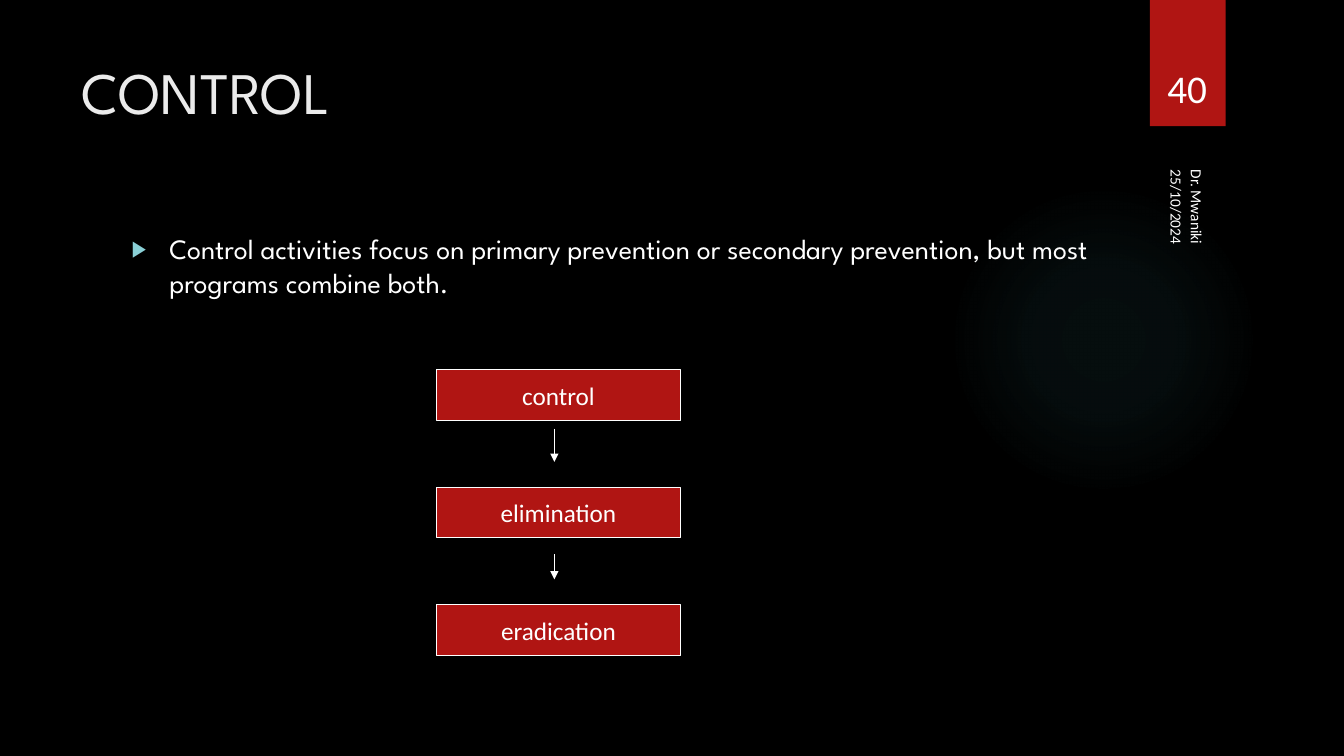
"""Build the slide on disease control, elimination and eradication."""
from dataclasses import dataclass

from lxml import etree
from pptx import Presentation
from pptx.dml.color import RGBColor
from pptx.enum import shapes, text
from pptx.oxml import ns
from pptx.util import Cm, Pt


@dataclass(frozen=True)
class Theme:
    background: str = "000000"
    red: str = "B01513"
    glow: str = "50B9C1"
    bullet: str = "8AD0D6"
    heading: str = "EBEBEB"
    white: str = "FFFFFF"
    display_font: str = "League Spartan"
    plain_font: str = "Calibri"
    title_size: int = 42
    number_size: int = 28
    body_size: int = 20
    stage_size: int = 18
    footer_size: int = 11
    line_width: float = 0.75


THEME = Theme()
TOP, MIDDLE, BOTTOM = (text.MSO_ANCHOR.TOP, text.MSO_ANCHOR.MIDDLE,
                       text.MSO_ANCHOR.BOTTOM)
LEFT, CENTER = text.PP_ALIGN.LEFT, text.PP_ALIGN.CENTER


def add_element(parent, tag, **attributes):
    child = etree.SubElement(parent, ns.qn(tag))
    for name, value in attributes.items():
        child.set(name, str(value))
    return child


def write(shape, words, size, font=THEME.plain_font, color=THEME.white,
          align=LEFT, anchor=TOP, wrap=True):
    frame = shape.text_frame
    frame.word_wrap = wrap
    frame.vertical_anchor = anchor
    frame.text = words
    paragraph = frame.paragraphs[0]
    paragraph.alignment = align
    letters = paragraph.runs[0].font
    letters.name = font
    letters.size = Pt(size)
    letters.color.rgb = RGBColor.from_string(color)
    return paragraph


def add_label(slide, place, words, size, rotation=0, **style):
    label = slide.shapes.add_textbox(*map(Cm, place))
    label.rotation = rotation
    return write(label, words, size, **style)


def add_bullet(paragraph):
    properties = paragraph._p.get_or_add_pPr()
    properties.set("marL", str(Cm(0.95)))
    properties.set("indent", str(-Cm(0.95)))
    color = add_element(properties, "a:buClr")
    add_element(color, "a:srgbClr", val=THEME.bullet)
    add_element(properties, "a:buSzPct", val=80000)
    add_element(properties, "a:buFont", typeface="Arial")
    add_element(properties, "a:buChar", char="▶")


def add_block(slide, place, kind=shapes.MSO_SHAPE.RECTANGLE):
    block = slide.shapes.add_shape(kind, *map(Cm, place))
    block.shadow.inherit = False
    block.fill.solid()
    block.fill.fore_color.rgb = RGBColor.from_string(THEME.red)
    block.line.fill.background()
    return block


def add_glow(slide, place):
    glow = add_block(slide, place, shapes.MSO_SHAPE.OVAL)
    properties = glow._element.spPr
    solid = properties.find(ns.qn("a:solidFill"))
    gradient = etree.Element(ns.qn("a:gradFill"), rotWithShape="1")
    stops = add_element(gradient, "a:gsLst")
    for position, opacity in ((0, 7), (36, 6), (69, 0)):
        stop = add_element(stops, "a:gs", pos=position * 1000)
        color = add_element(stop, "a:srgbClr", val=THEME.glow)
        add_element(color, "a:alpha", val=opacity * 1000)
    circle = add_element(gradient, "a:path", path="circle")
    add_element(circle, "a:fillToRect", l=50000, t=50000, r=50000, b=50000)
    properties.replace(solid, gradient)


def add_stage(slide, place, words):
    stage = add_block(slide, place)
    stage.line.color.rgb = RGBColor.from_string(THEME.white)
    stage.line.width = Pt(THEME.line_width)
    write(stage, words, THEME.stage_size, align=CENTER, anchor=MIDDLE,
          wrap=False)


def add_arrow(slide, x, start, end):
    arrow = slide.shapes.add_connector(
        shapes.MSO_CONNECTOR.STRAIGHT, Cm(x), Cm(start), Cm(x), Cm(end))
    arrow.line.color.rgb = RGBColor.from_string(THEME.white)
    arrow.line.width = Pt(THEME.line_width)
    properties = arrow._element.spPr
    add_element(properties.find(ns.qn("a:ln")), "a:tailEnd", type="triangle")
    add_element(properties, "a:effectLst")


def main():
    deck = Presentation()
    deck.slide_width, deck.slide_height = Cm(33.87), Cm(19.05)
    slide = deck.slides.add_slide(deck.slide_layouts[6])
    slide.background.fill.solid()
    slide.background.fill.fore_color.rgb = RGBColor.from_string(
        THEME.background)

    add_glow(slide, (23.9, 4.65, 7.82, 7.82))
    add_block(slide, (28.98, 0, 1.91, 3.18))
    add_label(slide, (1.8, 1.27, 26.14, 3.89), "CONTROL", THEME.title_size,
              font=THEME.display_font, color=THEME.heading)
    statement = add_label(
        slide, (3.07, 5.72, 24.84, 11.66),
        "Control activities focus on primary prevention or secondary "
        "prevention, but most programs combine both.",
        THEME.body_size, font=THEME.display_font)
    add_bullet(statement)
    add_label(slide, (28.22, 4.98, 2.74, 0.84), "25/10/2024",
              THEME.footer_size, rotation=90)
    add_label(slide, (24.87, 8.97, 10.72, 0.84), "Dr. Mwaniki",
              THEME.footer_size, rotation=90, anchor=BOTTOM)
    add_label(slide, (28.75, 0.81, 2.34, 2.13), "40", THEME.number_size,
              align=CENTER, anchor=BOTTOM)

    for step, words in enumerate(("control", "elimination", "eradication")):
        add_stage(slide, (11, 9.32 + 2.96 * step, 6.15, 1.27), words)
    for start, end in ((10.8, 11.64), (13.97, 14.6)):
        add_arrow(slide, 13.97, start, end)

    deck.save("out.pptx")


if __name__ == "__main__":
    main()
